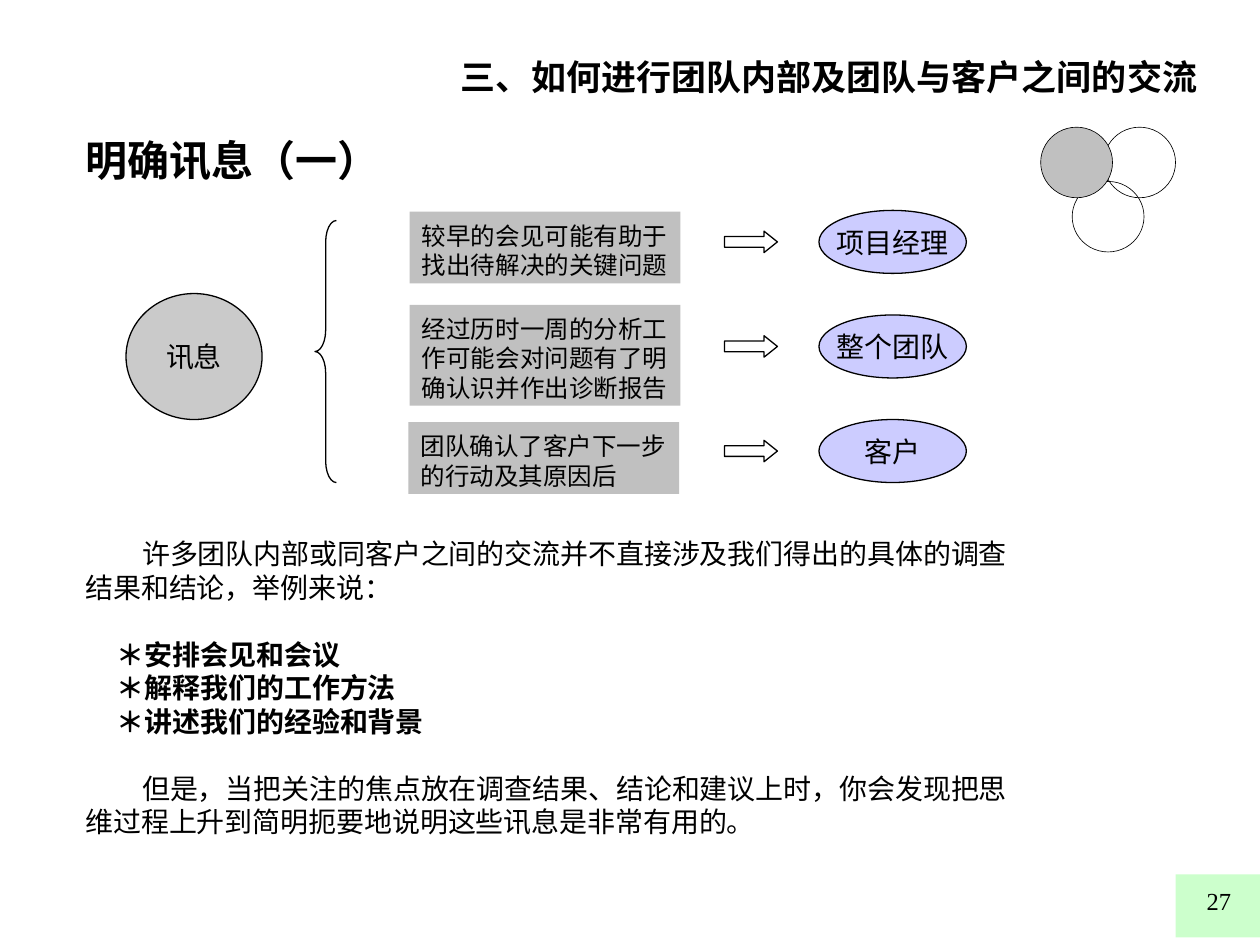
from pptx import Presentation
from pptx.dml.color import RGBColor
from pptx.enum.shapes import MSO_SHAPE as Shape
from pptx.enum.text import MSO_ANCHOR as Anchor, PP_ALIGN as Align
from pptx.oxml.ns import qn
from pptx.util import Inches, Pt
from lxml.etree import SubElement

# Content
SECTION = "三、如何进行团队内部及团队与客户之间的交流"
PAGE_NUMBER = "27"
SOURCE = "讯息"
ROWS = [  # message, left, top, height, audience
    ("较早的会见可能有助于找出待解决的关键问题", 3.25, 1.68, 0.57, "项目经理"),
    ("经过历时一周的分析工作可能会对问题有了明确认识并作出诊断报告", 3.25, 2.42, 0.8, "整个团队"),
    ("团队确认了客户下一步的行动及其原因后", 3.24, 3.35, 0.57, "客户"),
]
BODY = [  # text, size, bold, indent in inches, space before in points
    ("明确讯息（一）", 24, True, 0, 0),
    ("许多团队内部或同客户之间的交流并不直接涉及我们得出的具体的调查"
     "结果和结论，举例来说：", 16, False, 0.45, 201),
    ("＊安排会见和会议", 16, True, 0.25, 19),
    ("＊解释我们的工作方法", 16, True, 0.25, 0),
    ("＊讲述我们的经验和背景", 16, True, 0.25, 0),
    ("但是，当把关注的焦点放在调查结果、结论和建议上时，你会发现把思"
     "维过程上升到简明扼要地说明这些讯息是非常有用的。", 16, False, 0.45, 19),
]

# Look
COLORS = {"ink": "000000", "gray": "C0C0C0", "source": "969696",
          "audience": "CCCCFF", "corner": "CCFFCC"}
LATIN, CJK = "Times New Roman", "Noto Sans CJK SC"
LINE_HEIGHT = 1.2    # in ems
TOP_SHIFT = 0.115    # in ems, lowers text set with fixed line spacing


def color(name):
    return RGBColor.from_string(COLORS[name])


def add_shape(slide, kind, box, fill=None, line=None, adjustments=()):
    shape = slide.shapes.add_shape(kind, *map(Inches, box))
    shape.shadow.inherit = False
    for index, value in enumerate(adjustments):
        shape.adjustments[index] = value
    if fill:
        shape.fill.solid()
        shape.fill.fore_color.rgb = color(fill)
    else:
        shape.fill.background()
    if line:
        shape.line.color.rgb = color("ink")
        shape.line.width = Pt(line)
    else:
        shape.line.fill.background()
    return shape


def set_frame(shape, anchor=Anchor.TOP, top=0.05, right=0.1, wrap=True):
    formats = {"word_wrap": wrap, "vertical_anchor": anchor,
               "margin_left": Inches(0.1), "margin_right": Inches(right),
               "margin_top": Inches(top), "margin_bottom": Inches(0.05)}
    for name, value in formats.items():
        setattr(shape.text_frame, name, value)


def write(paragraph, text, size, bold=False, align=Align.LEFT, latin=LATIN, fixed=False):
    run = paragraph.add_run()
    run.text = text
    formats = {"name": latin, "size": Pt(size), "bold": bold}
    for name, value in formats.items():
        setattr(run.font, name, value)
    run.font.color.rgb = color("ink")
    SubElement(run.font._element, qn("a:ea"), typeface=CJK)
    paragraph.alignment = align
    if fixed:
        paragraph.line_spacing = Pt(size * LINE_HEIGHT)


def fixed_top(size):
    return 0.05 + TOP_SHIFT * size / 72


def add_label(shape, text, size=16):
    set_frame(shape, Anchor.MIDDLE, wrap=False)
    write(shape.text_frame.paragraphs[0], text, size, align=Align.CENTER)


def add_page_frame(slide):
    add_shape(slide, Shape.RECTANGLE, (9.33, 6.94, 0.67, 0.5), "corner")
    header = slide.shapes.add_textbox(*map(Inches, (3.56, 0.36, 6.22, 0.44)))
    set_frame(header, top=fixed_top(20))
    write(header.text_frame.paragraphs[0], SECTION, 20, True, latin=CJK, fixed=True)
    number = slide.shapes.add_textbox(*map(Inches, (7.79, 6.98, 2.08, 0.5)))
    set_frame(number)
    write(number.text_frame.paragraphs[0], PAGE_NUMBER, 14, align=Align.RIGHT)


def add_body(slide):
    body = slide.shapes.add_textbox(*map(Inches, (0.58, 0.98, 7.67, 6.17)))
    set_frame(body, top=fixed_top(24))
    frame = body.text_frame
    for index, (text, size, bold, indent, before) in enumerate(BODY):
        paragraph = frame.add_paragraph() if index else frame.paragraphs[0]
        write(paragraph, text, size, bold, fixed=True)
        paragraph.space_before = Pt(before)
        properties = paragraph._p.get_or_add_pPr()
        properties.set("marL", "0")
        properties.set("indent", str(Inches(indent)))


def add_circles(slide):
    for left, top, fill in ((8.51, 1.44, None), (8.76, 1.01, None), (8.26, 1.01, "gray")):
        add_shape(slide, Shape.OVAL, (left, top, 0.57, 0.56), fill, 0.37)


def add_diagram(slide):
    # Source circle, half transparent, and brace
    source = add_shape(slide, Shape.OVAL, (1, 2.33, 1.08, 1), "source", 0.75)
    rgb = source.fill._xPr.find(".//" + qn("a:srgbClr"))
    SubElement(rgb, qn("a:alpha"), val="50000")
    add_label(source, SOURCE)
    add_shape(slide, Shape.LEFT_BRACE, (2.5, 1.75, 0.17, 2.08), line=0.75,
              adjustments=(1, 0.5))

    # Message, arrow and audience in each row
    for index, (message, left, top, height, audience) in enumerate(ROWS):
        middle = 1.92 + index * 0.83
        box = add_shape(slide, Shape.RECTANGLE, (left, top, 2.15, height), "gray")
        set_frame(box, top=fixed_top(14), right=0)
        write(box.text_frame.paragraphs[0], message, 14, fixed=True)
        add_shape(slide, Shape.RIGHT_ARROW, (5.75, middle - 0.085, 0.42, 0.17),
                  line=0.75, adjustments=(0.5, 0.625))
        oval = add_shape(slide, Shape.OVAL, (6.5, middle - 0.25, 1.17, 0.5), "audience", 0.75)
        add_label(oval, audience)


def main():
    presentation = Presentation()
    presentation.slide_width, presentation.slide_height = Inches(10), Inches(7.5)
    slide = presentation.slides.add_slide(presentation.slide_layouts[6])
    add_page_frame(slide)
    add_body(slide)
    add_circles(slide)
    add_diagram(slide)
    presentation.save("out.pptx")


if __name__ == "__main__":
    main()
